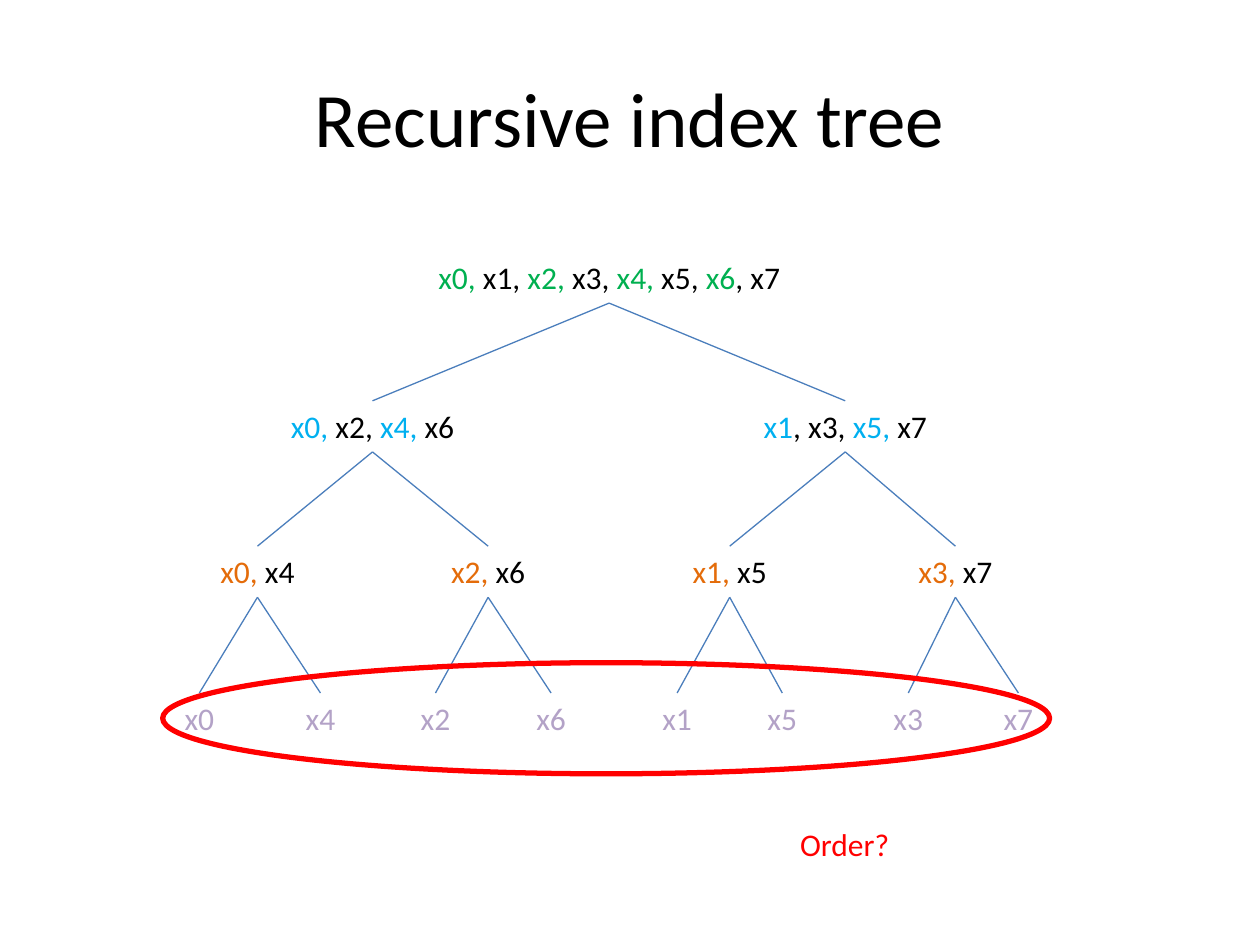
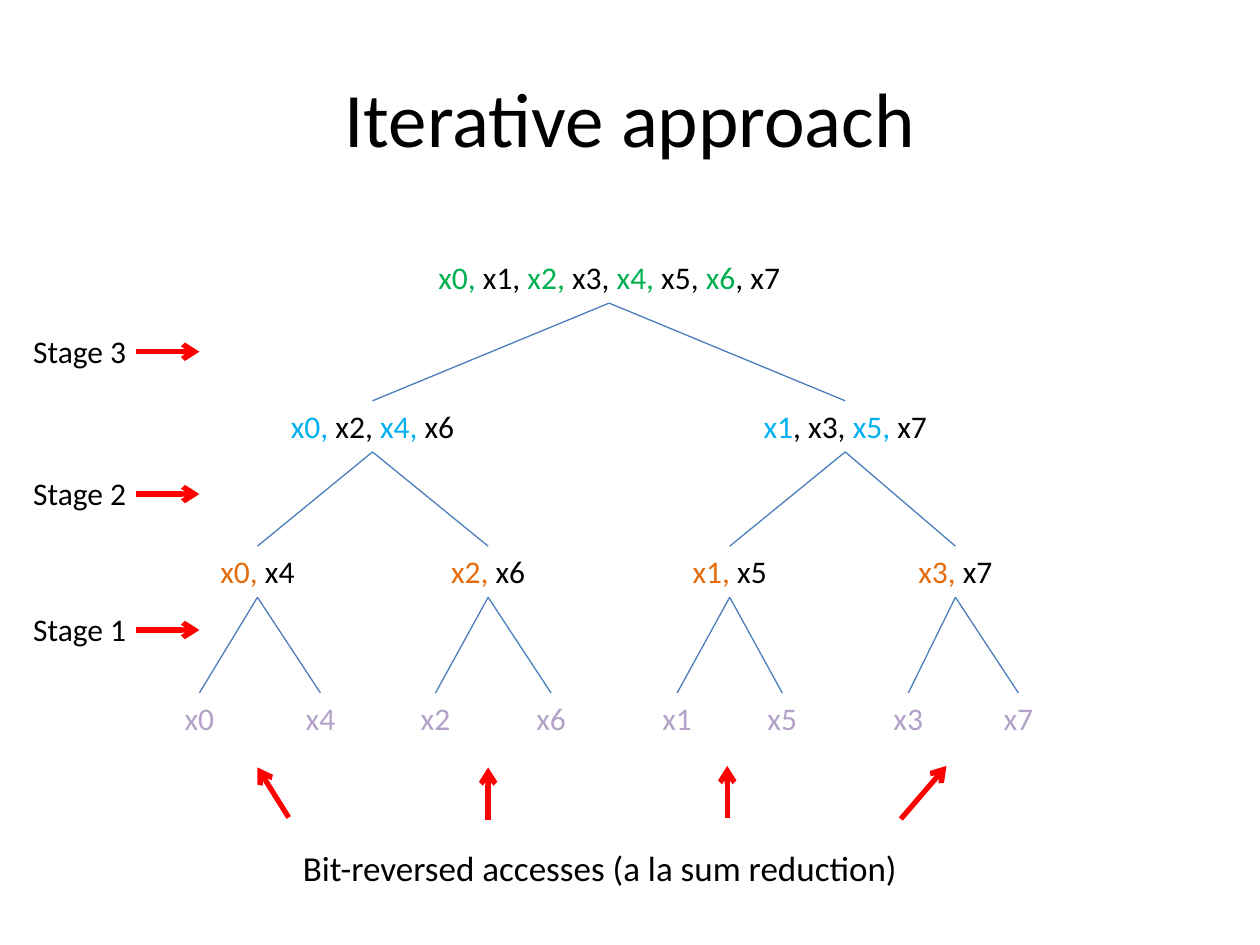
"""Build two slides about the recursive index tree and its iterative evaluation."""
from lxml.etree import SubElement
from pptx import Presentation
from pptx.dml.color import RGBColor
from pptx.enum.shapes import MSO_CONNECTOR as Connector, MSO_SHAPE as Preset
from pptx.enum.text import MSO_ANCHOR as Anchor, MSO_AUTO_SIZE as AutoSize, PP_ALIGN as Align
from pptx.oxml.ns import qn
from pptx.util import Cm, Pt

BLACK = RGBColor(0x00, 0x00, 0x00)
GREEN = RGBColor(0x00, 0xB0, 0x50)
CYAN = RGBColor(0x00, 0xB0, 0xF0)
ORANGE = RGBColor(0xE4, 0x6C, 0x0A)
LAVENDER = RGBColor(0xB3, 0xA2, 0xC7)
BLUE = RGBColor(0x4B, 0x7E, 0xBC)
RED = RGBColor(0xFF, 0x00, 0x00)
FONT = "Calibri"
TEXT_HEIGHT = 1.03

# Each level: accent, top, nodes as (text with alternating accent and black parts, centre, width)
LEVELS = [
    (GREEN, 5.08, [("x0, |x1, |x2, |x3, |x4,| x5, |x6|, x7", 12.28, 7.62)]),
    (CYAN, 8.08, [("x0, |x2, |x4,| x6", 7.51, 4.02), ("x1|, x3, |x5,| x7", 17.04, 4.02)]),
    (ORANGE, 11.01, [("x0,| x4", 5.19, 2.33), ("x2,| x6", 9.84, 2.33),
                     ("x1,| x5", 14.71, 2.33), ("x3,| x7", 19.26, 2.12)]),
    (LAVENDER, 13.97, [("x0", 4.02, 1.48), ("x4", 6.46, 1.48), ("x2", 8.78, 1.48),
                       ("x6", 11.11, 1.48), ("x1", 13.65, 1.48), ("x5", 15.77, 1.48),
                       ("x3", 18.31, 1.48), ("x7", 20.53, 1.27)]),
]
STAGES = [("Stage 3", 6.56), ("Stage 2", 9.43), ("Stage 1", 12.17)]
ACCESS_ARROWS = [
    ((5.82, 16.48), (5.19, 15.47)),
    ((9.84, 16.53), (9.84, 15.47)),
    ((14.66, 16.48), (14.66, 15.44)),
    ((18.16, 16.51), (19.08, 15.44)),
]


def write(frame, text, size=18, color=BLACK, align=Align.LEFT):
    paragraph = frame.paragraphs[0]
    paragraph.alignment = align
    for index, part in enumerate(text.split("|")):
        run = paragraph.add_run()
        run.text = part
        run.font.name, run.font.size = FONT, Pt(size)
        run.font.color.rgb = BLACK if index % 2 else color


def add_text(slide, text, left, top, width, height=TEXT_HEIGHT, **text_format):
    shape = slide.shapes.add_textbox(Cm(left), Cm(top), Cm(width), Cm(height))
    shape.text_frame.word_wrap = True
    shape.text_frame.auto_size = AutoSize.SHAPE_TO_FIT_TEXT
    write(shape.text_frame, text, **text_format)
    return shape


def add_line(slide, start=(0, 0), end=(0, 0), color=BLUE, width=0.75, arrow=False):
    points = [Cm(value) for value in (*start, *end)]
    connector = slide.shapes.add_connector(Connector.STRAIGHT, *points)
    connector.line.color.rgb = color
    connector.line.width = Pt(width)
    if arrow:
        SubElement(connector.line._get_or_add_ln(), qn("a:tailEnd"), type="arrow")
    SubElement(connector._element.spPr, qn("a:effectLst"))
    return connector


def add_red_arrow(slide, start, end):
    add_line(slide, start, end, color=RED, width=3, arrow=True)


def add_tree(slide):
    rows = [
        [add_text(slide, text, center - width / 2, top, width, color=accent, align=Align.CENTER)
         for text, center, width in nodes]
        for accent, top, nodes in LEVELS
    ]
    for parents, children in zip(rows, rows[1:]):
        for index, child in enumerate(children):
            branch = add_line(slide)
            branch.begin_connect(parents[index // 2], 2)
            branch.end_connect(child, 0)


def add_tree_slide(presentation, title):
    slide = presentation.slides.add_slide(presentation.slide_layouts[5])
    shape = slide.shapes.title
    shape.left, shape.top, shape.width, shape.height = Cm(1.27), Cm(0.76), Cm(22.86), Cm(3.18)
    shape.text_frame.vertical_anchor = Anchor.MIDDLE
    write(shape.text_frame, title, size=44, align=Align.CENTER)
    add_tree(slide)
    return slide


def add_recursive_slide(presentation):
    slide = add_tree_slide(presentation, "Recursive index tree")
    ring = slide.shapes.add_shape(Preset.OVAL, Cm(3.28), Cm(13.36), Cm(17.88), Cm(2.24))
    ring.shadow.inherit = False
    ring.fill.background()
    ring.line.color.rgb = RED
    ring.line.width = Pt(3)
    add_text(slide, "Order?", 15.88, 16.51, 4.02, color=RED)


def add_iterative_slide(presentation):
    slide = add_tree_slide(presentation, "Iterative approach")
    for label, top in STAGES:
        middle = top + 0.53
        add_red_arrow(slide, (2.75, middle), (4.02, middle))
        add_text(slide, label, 0.42, top, 3.6)
    for start, end in ACCESS_ARROWS:
        add_red_arrow(slide, start, end)
    add_text(slide, "Bit-reversed accesses (a la sum reduction)", 5.72, 16.93, 12.75, 1.11,
             size=20, align=Align.CENTER)


def main():
    presentation = Presentation()
    presentation.slide_width, presentation.slide_height = Cm(25.4), Cm(19.05)
    add_recursive_slide(presentation)
    add_iterative_slide(presentation)
    presentation.save("out.pptx")


if __name__ == "__main__":
    main()
